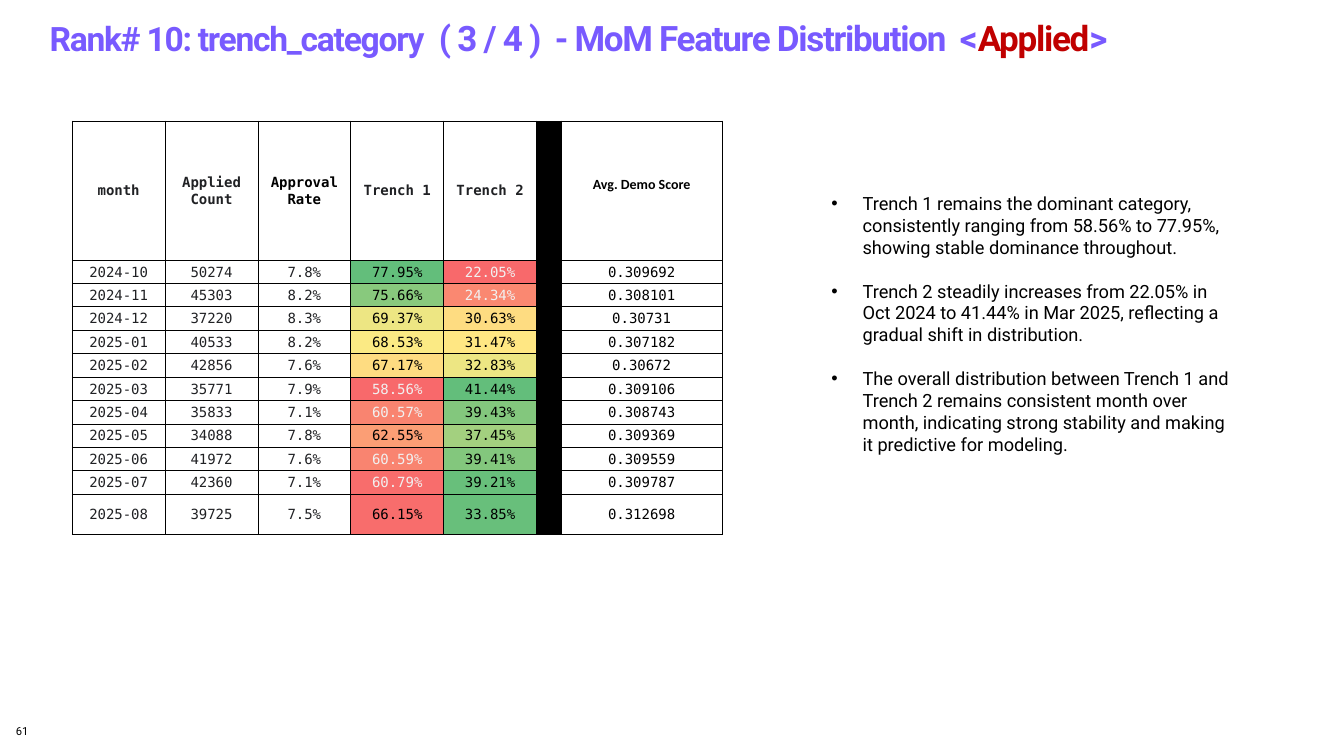
from lxml import etree
from pptx import Presentation
from pptx.dml.color import RGBColor
from pptx.enum.text import MSO_ANCHOR, MSO_AUTO_SIZE, PP_ALIGN
from pptx.oxml.ns import qn
from pptx.util import Cm, Pt

TOP, MIDDLE = MSO_ANCHOR.TOP, MSO_ANCHOR.MIDDLE
LEFT, CENTER = PP_ALIGN.LEFT, PP_ALIGN.CENTER
NO_FIT = MSO_AUTO_SIZE.NONE

COLORS = {
    "violet": "785AFF", "crimson": "C00000", "black": "000000",
    "white": "FFFFFF", "ink": "202124", "pale": "F1F1F1",
}
HEAT = {
    "77.95%": "63BE7B", "22.05%": "F8696B",
    "75.66%": "88C97D", "24.34%": "FA8871",
    "69.37%": "EDE683", "30.63%": "FEDC81",
    "68.53%": "FBEA84", "31.47%": "FFE783",
    "67.17%": "FEDC81", "32.83%": "EDE683",
    "58.56%": "F8696B", "41.44%": "63BE7B",
    "60.57%": "F98470", "39.43%": "83C77D",
    "62.55%": "FB9E75", "37.45%": "A3D07F",
    "60.59%": "F98470", "39.41%": "83C77D",
    "60.79%": "F86D6C", "39.21%": "68BF7B",
    "66.15%": "F86D6C", "33.85%": "68BF7B",
}
PALE_SHARES = {"22.05%", "24.34%", "58.56%", "60.57%", "60.59%", "60.79%"}

SANS, MONO, SCORE_FONT = "Roboto", "DejaVu Sans Mono", "Calibri"
HEADERS = ("month", "Applied Count", "Approval Rate", "Trench 1", "Trench 2",
           "", "Avg. Demo Score")
MONTHS = [
    ("2024-10", "50274", "7.8%", "77.95%", "22.05%", "", "0.309692"),
    ("2024-11", "45303", "8.2%", "75.66%", "24.34%", "", "0.308101"),
    ("2024-12", "37220", "8.3%", "69.37%", "30.63%", "", "0.30731"),
    ("2025-01", "40533", "8.2%", "68.53%", "31.47%", "", "0.307182"),
    ("2025-02", "42856", "7.6%", "67.17%", "32.83%", "", "0.30672"),
    ("2025-03", "35771", "7.9%", "58.56%", "41.44%", "", "0.309106"),
    ("2025-04", "35833", "7.1%", "60.57%", "39.43%", "", "0.308743"),
    ("2025-05", "34088", "7.8%", "62.55%", "37.45%", "", "0.309369"),
    ("2025-06", "41972", "7.6%", "60.59%", "39.41%", "", "0.309559"),
    ("2025-07", "42360", "7.1%", "60.79%", "39.21%", "", "0.309787"),
    ("2025-08", "39725", "7.5%", "66.15%", "33.85%", "", "0.312698"),
]
COLUMN_WIDTHS = [2.34] * 5 + [0.62, 4.06]
ROW_HEIGHTS = [3.5] + [0.59] * 10 + [1.02]
DIVIDER, SCORE = 5, 6

TITLE_PARTS = [
    ("Rank# 10: trench_category ", 24, "violet"),
    (" ( 3 / 4 )  - MoM Feature Distribution  <", 25, "violet"),
    ("Applied", 25, "crimson"),
    (">", 25, "violet"),
]
FINDINGS = [
    "Trench 1 remains the dominant category, consistently ranging from 58.56% "
    "to 77.95%, showing stable dominance throughout.",
    "Trench 2 steadily increases from 22.05% in Oct 2024 to 41.44% in Mar 2025, "
    "reflecting a gradual shift in distribution.",
    "The overall distribution between Trench 1 and Trench 2 remains consistent "
    "month over month, indicating strong stability and making it predictive "
    "for modeling.",
]


def style(run, size, color, face=SANS, bold=False):
    """Set size, colour, typeface and weight of a run."""
    run.font.size = Pt(size)
    run.font.color.rgb = RGBColor.from_string(COLORS[color])
    run.font.name = face
    run.font.bold = bold


def place(shape, left, top, width, height):
    """Move a shape to a box given in centimetres."""
    shape.left, shape.top = Cm(left), Cm(top)
    shape.width, shape.height = Cm(width), Cm(height)


def prepare(frame, margin_x=0, margin_y=0):
    """Make a text frame wrap from the top with the given margins."""
    frame.word_wrap = True
    frame.auto_size = NO_FIT
    frame.vertical_anchor = TOP
    frame.margin_left = frame.margin_right = Cm(margin_x)
    frame.margin_top = frame.margin_bottom = Cm(margin_y)


def add_heading(heading, box):
    """Fill the title placeholder with its coloured parts."""
    place(heading, *box)
    prepare(heading.text_frame)
    line = heading.text_frame.paragraphs[0]
    line.alignment = LEFT
    line.line_spacing = 1.1
    for text, size, color in TITLE_PARTS:
        part = line.add_run()
        part.text = text
        style(part, size, color, bold=True)
        part.font._element.set("spc", "-90")


def add_findings(findings, box):
    """Fill the body placeholder with the bulleted findings."""
    place(findings, *box)
    frame = findings.text_frame
    prepare(frame, 0.25, 0.13)
    frame.text = "\n".join(FINDINGS)
    for index, finding in enumerate(frame.paragraphs):
        properties = finding._p.get_or_add_pPr()
        properties.set("marL", str(Cm(0.79)))
        properties.set("indent", str(-Cm(0.79)))
        finding.alignment = LEFT
        finding.space_before = Pt(15.6 if index else 0)
        style(finding.runs[0], 13, "black")


def add_borders(cell):
    """Draw thin black lines on the four sides of a cell."""
    properties = cell._tc.get_or_add_tcPr()
    for index, side in enumerate(("lnL", "lnR", "lnT", "lnB")):
        line = etree.Element(qn(f"a:{side}"), w=str(Pt(0.5)))
        fill = etree.SubElement(line, qn("a:solidFill"))
        etree.SubElement(fill, qn("a:srgbClr"), val=COLORS["black"])
        properties.insert(index, line)


def fill_cell(cell, text, row, column):
    """Write one table cell with the look of its row and column."""
    is_header = row == 0
    background = COLORS["black"] if column == DIVIDER else HEAT.get(text, COLORS["white"])
    cell.fill.solid()
    cell.fill.fore_color.rgb = RGBColor.from_string(background)
    add_borders(cell)
    cell.vertical_anchor = MIDDLE
    cell.margin_left = cell.margin_right = cell.margin_top = Cm(0.03)
    cell.margin_bottom = Cm(0.3 if is_header and column == SCORE else 0)
    cell.text_frame.text = text
    line = cell.text_frame.paragraphs[0]
    line.alignment = CENTER
    if not text:
        etree.SubElement(line._p, qn("a:endParaRPr"), sz="800")
        return
    if text in PALE_SHARES:
        color = "pale"
    elif text in HEAT or column == SCORE or text == "Approval Rate":
        color = "black"
    else:
        color = "ink"
    face = SCORE_FONT if is_header and column == SCORE else MONO
    style(line.runs[0], 10, color, face, is_header)


def add_distribution(slide, left, top):
    """Add the monthly distribution table at the given corner."""
    rows = [HEADERS] + MONTHS
    table = slide.shapes.add_table(
        len(rows), len(HEADERS), Cm(left), Cm(top),
        Cm(sum(COLUMN_WIDTHS)), Cm(sum(ROW_HEIGHTS))).table
    table.first_row = table.horz_banding = False
    for column, width in zip(table.columns, COLUMN_WIDTHS):
        column.width = Cm(width)
    for row, height in zip(table.rows, ROW_HEIGHTS):
        row.height = Cm(height)
    for r, values in enumerate(rows):
        for c, text in enumerate(values):
            fill_cell(table.cell(r, c), text, r, c)


def add_page_number(slide, box):
    """Add the page number in the lower left corner."""
    number = slide.shapes.add_textbox(*map(Cm, box))
    prepare(number.text_frame)
    number.text_frame.text = "61"
    style(number.text_frame.paragraphs[0].runs[0], 8, "black")


def main():
    """Build the slide and save it."""
    deck = Presentation()
    deck.slide_width, deck.slide_height = Cm(33.87), Cm(19.05)
    slide = deck.slides.add_slide(deck.slide_layouts[1])
    add_heading(slide.shapes.title, (1.25, 0.3, 32.6, 1.3))
    add_page_number(slide, (0.4, 18.26, 7.42, 0.64))
    add_findings(slide.placeholders[1], (20.7, 4.72, 10.67, 7.5))
    add_distribution(slide, 1.82, 3.05)
    deck.save("out.pptx")


if __name__ == "__main__":
    main()
